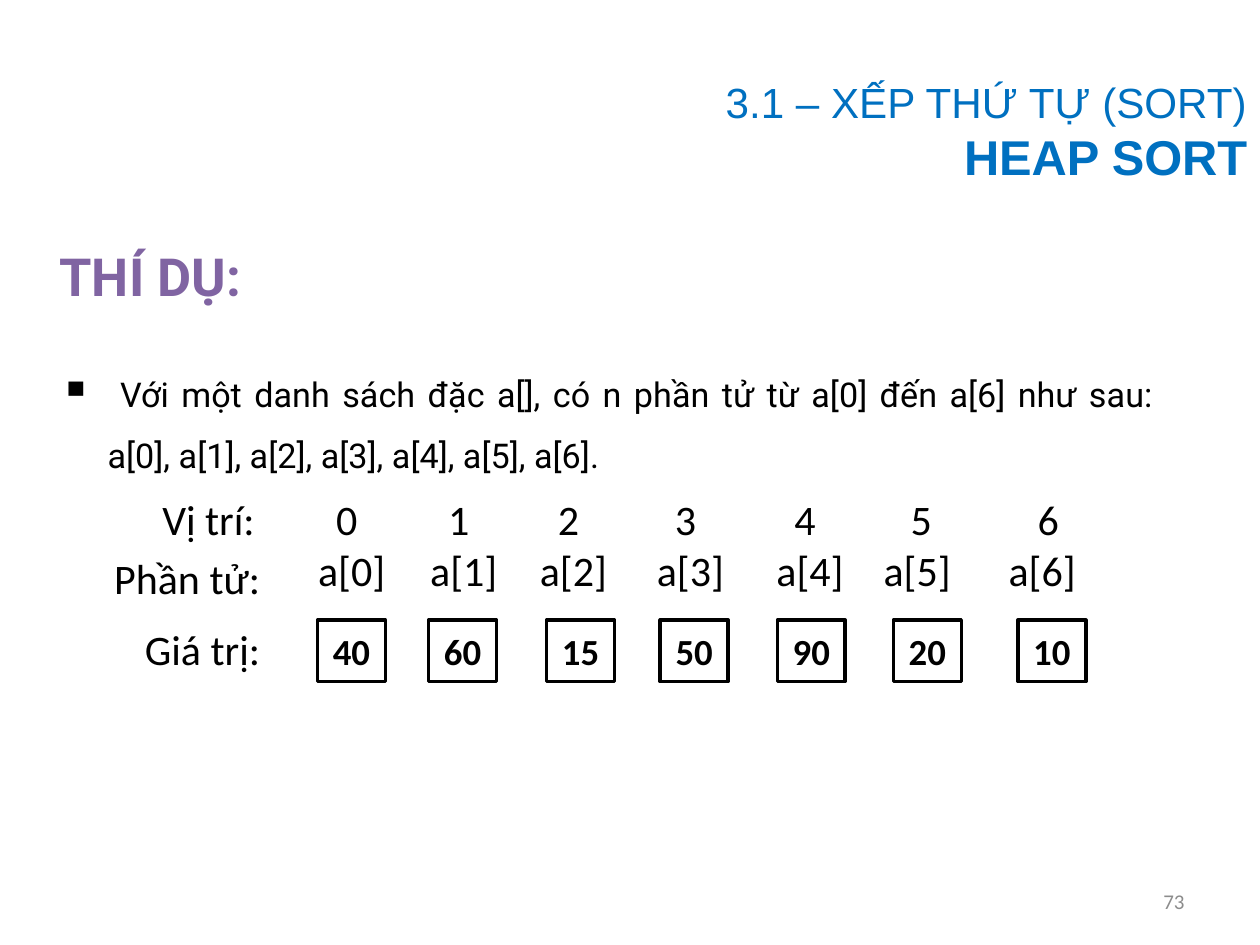
from dataclasses import dataclass

from lxml import etree
from pptx import Presentation
from pptx.dml.color import RGBColor
from pptx.enum.shapes import MSO_SHAPE
from pptx.enum.text import MSO_ANCHOR, MSO_AUTO_SIZE, PP_ALIGN
from pptx.oxml.ns import qn
from pptx.util import Cm, Pt

LEFT, CENTER, RIGHT, JUSTIFY = PP_ALIGN.LEFT, PP_ALIGN.CENTER, PP_ALIGN.RIGHT, PP_ALIGN.JUSTIFY
TOP, MIDDLE = MSO_ANCHOR.TOP, MSO_ANCHOR.MIDDLE
NO_FIT = MSO_AUTO_SIZE.NONE
RECT = MSO_SHAPE.RECTANGLE
TITLE_ONLY = 5

BLACK, BLUE, PURPLE, GRAY = "000000", "0070C0", "8064A2", "8C8C8C"


@dataclass
class Box:
    x: float
    y: float
    w: float
    h: float


@dataclass
class Style:
    name: str
    size: float
    color: str = BLACK
    bold: bool = False
    align: PP_ALIGN = CENTER


@dataclass
class Item:
    position: int
    value: int
    position_x: float
    element_x: float
    value_x: float


LABEL = Style("Calibri", 24)
VALUE = Style("Calibri", 21, bold=True)
HEADING = Style("Roboto", 30, PURPLE, True, LEFT)
BODY = Style("Roboto", 19.5, align=JUSTIFY)
NUMBER = Style("Calibri", 12, GRAY, align=RIGHT)
SECTION = Style("Arial", 24.1, BLUE, align=RIGHT)
TOPIC = Style("Arial", 27.9, BLUE, True, RIGHT)

ITEMS = [
    Item(0, 40, 5.82, 5.92, 6.4),
    Item(1, 60, 8.08, 8.18, 8.64),
    Item(2, 15, 10.29, 10.39, 11.02),
    Item(3, 50, 12.65, 12.75, 13.31),
    Item(4, 90, 15.06, 15.16, 15.67),
    Item(5, 20, 17.4, 17.32, 18.01),
    Item(6, 10, 19.96, 19.84, 20.52),
]
ROW_LABELS = [
    ("Vị trí: ", 2.13, 10.16),
    ("Phần tử: ", 1.7, 11.35),
    ("Giá trị: ", 2.01, 12.78),
]


def rgb(color: str) -> RGBColor:
    return RGBColor.from_string(color)


def place(sp, box: Box) -> None:
    sp.left, sp.top, sp.width, sp.height = Cm(box.x), Cm(box.y), Cm(box.w), Cm(box.h)


def set_frame(tf, **options) -> None:
    values = {"word_wrap": True, "auto_size": NO_FIT, "vertical_anchor": MIDDLE, **options}
    for name, value in values.items():
        setattr(tf, name, value)


def write(p, text: str, style: Style) -> None:
    p.alignment = style.align
    r = p.add_run()
    r.text = text
    values = {"name": style.name, "size": Pt(style.size), "bold": style.bold}
    for name, value in values.items():
        setattr(r.font, name, value)
    r.font.color.rgb = rgb(style.color)


def add_text(s, text: str, box: Box, style: Style, **options):
    sp = s.shapes.add_textbox(0, 0, 0, 0)
    place(sp, box)
    set_frame(sp.text_frame, **options)
    p = sp.text_frame.paragraphs[0]
    write(p, text, style)
    return p


def add_value(s, text: str, box: Box) -> None:
    sp = s.shapes.add_shape(RECT, 0, 0, 0, 0)
    place(sp, box)
    sp.shadow.inherit = False
    sp.fill.background()
    sp.line.color.rgb = rgb(BLACK)
    sp.line.width = Pt(2)
    set_frame(sp.text_frame)
    write(sp.text_frame.paragraphs[0], text, VALUE)


def add_bullet(p, char: str, percent: int, indent: float) -> None:
    pPr = p._p.get_or_add_pPr()
    pPr.set("marL", str(Cm(indent)))
    pPr.set("indent", str(-Cm(indent)))
    etree.SubElement(pPr, qn("a:buSzPct")).set("val", str(percent * 1000))
    etree.SubElement(pPr, qn("a:buChar")).set("char", char)


def add_title(s) -> None:
    sp = s.shapes.title
    place(sp, Box(0, 1.27, 25.4, 2.74))
    tf = sp.text_frame
    set_frame(tf)
    write(tf.paragraphs[0], "3.1 – XẾP THỨ TỰ (SORT)", SECTION)
    write(tf.add_paragraph(), "HEAP SORT", TOPIC)


def main() -> None:
    prs = Presentation()
    prs.slide_width, prs.slide_height = Cm(25.4), Cm(19.05)
    s = prs.slides.add_slide(prs.slide_layouts[TITLE_ONLY])
    add_title(s)

    insets = {
        "margin_left": Cm(0.18),
        "margin_right": Cm(0.18),
        "margin_top": Cm(0.1),
        "margin_bottom": Cm(0.1),
    }
    p = add_text(s, "THÍ DỤ:", Box(1.02, 4.24, 17.2, 2.77), HEADING, **insets)
    p.line_spacing = 0.9
    p = add_text(
        s,
        " Với một danh sách đặc a[], có n phần tử từ a[0] đến a[6] như sau: "
        "a[0], a[1], a[2], a[3], a[4], a[5], a[6].",
        Box(1.02, 7.01, 22.43, 2.49),
        BODY,
        vertical_anchor=TOP,
        **insets,
    )
    p.line_spacing = 1.5
    add_bullet(p, "▪", 130, 0.97)

    for text, x, y in ROW_LABELS:
        add_text(s, text, Box(x, y, 4.34, 0.58), LABEL)
    for item in ITEMS:
        add_text(s, str(item.position), Box(item.position_x, 10.1, 2.34, 0.71), LABEL)
        add_text(s, f"a[{item.position}]", Box(item.element_x, 11.14, 2.34, 0.71), LABEL)
        add_value(s, str(item.value), Box(item.value_x, 12.5, 1.37, 1.24))

    add_text(s, "73", Box(18.21, 17.65, 5.92, 1.02), NUMBER)
    prs.save("out.pptx")


if __name__ == "__main__":
    main()
